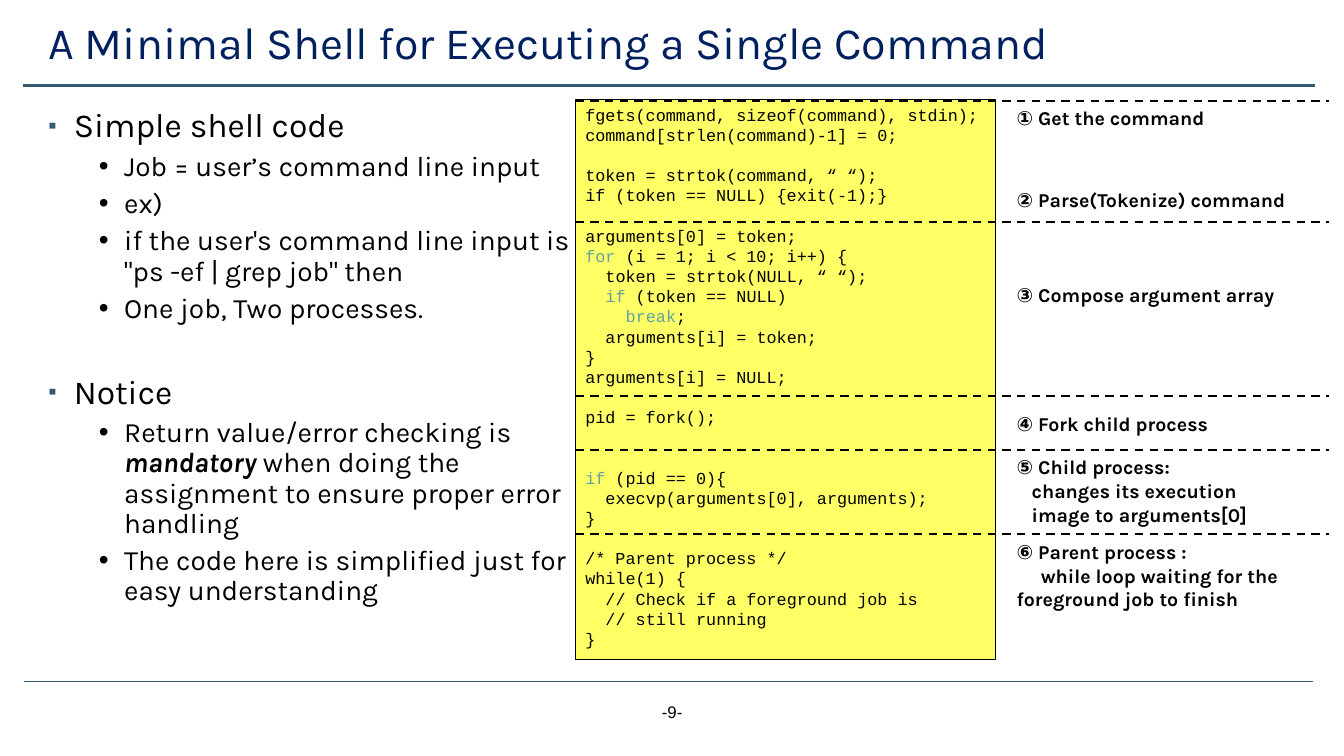
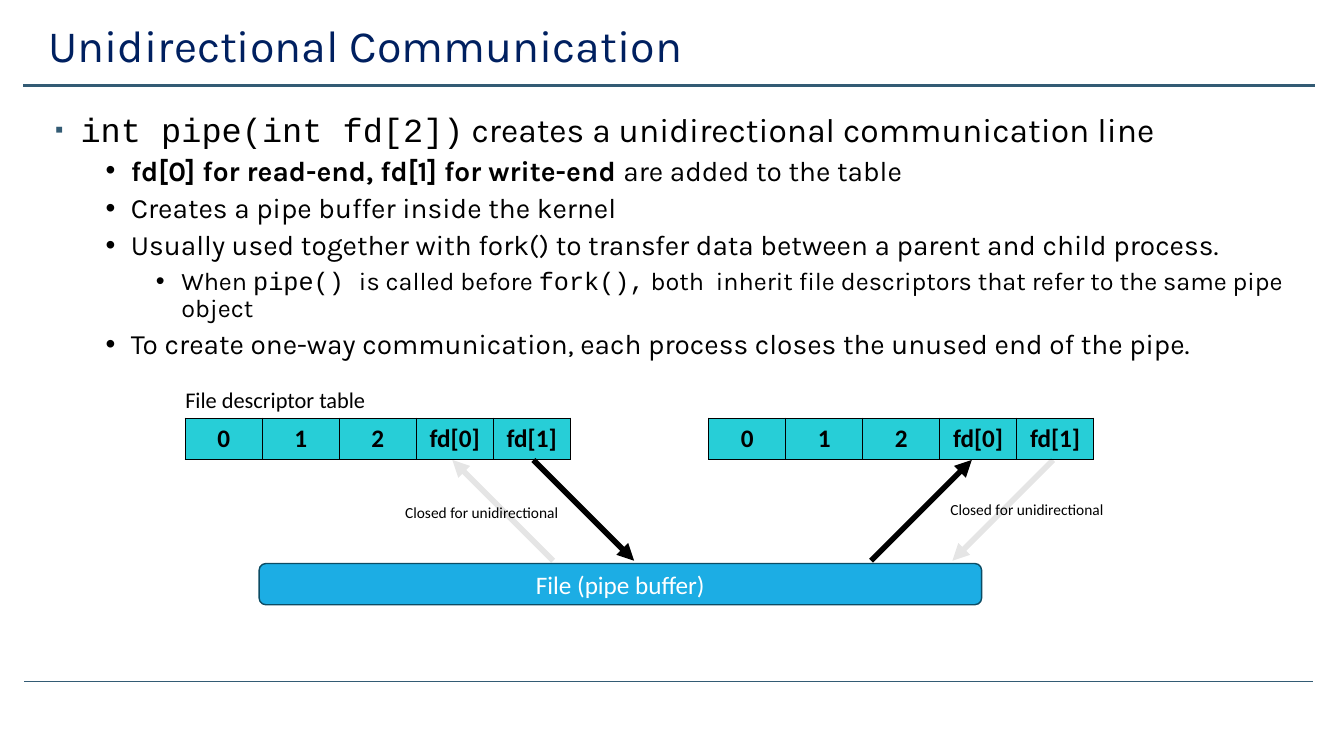
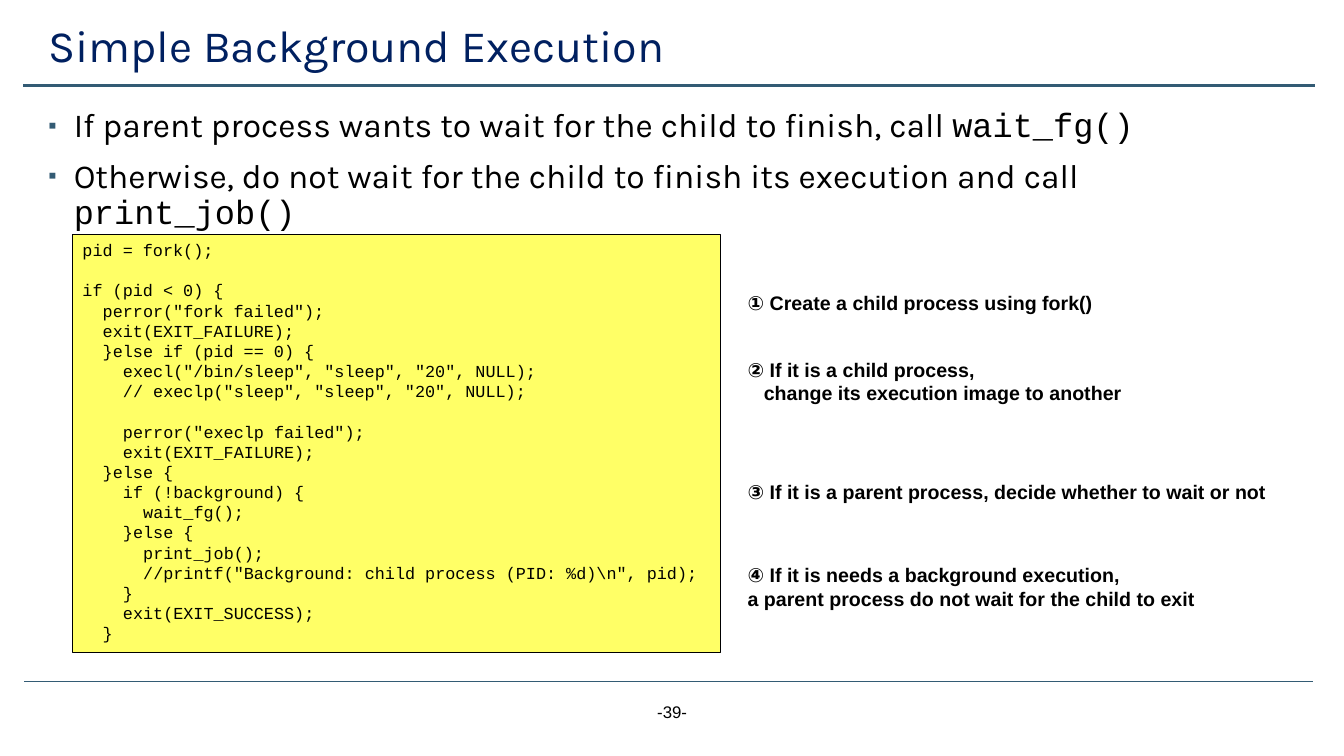
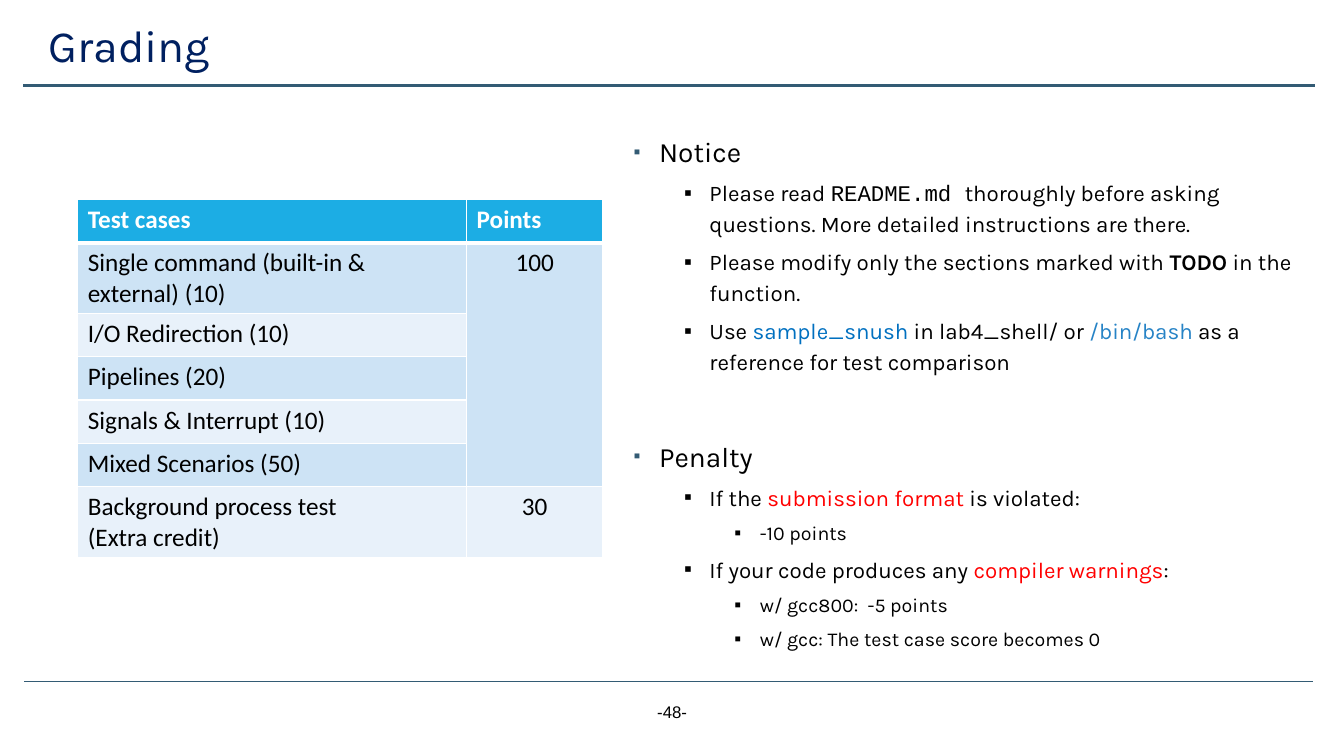
from lxml.etree import SubElement
from pptx import Presentation
from pptx.dml.color import RGBColor
from pptx.enum.dml import MSO_LINE
from pptx.enum.shapes import MSO_CONNECTOR as Link, MSO_SHAPE as Preset
from pptx.enum.text import MSO_ANCHOR as Anchor, PP_ALIGN as Align
from pptx.oxml.ns import qn
from pptx.util import Cm, Pt

COLORS = {
    "black": "000000", "white": "FFFFFF", "title": "002060", "rule": "335B74",
    "code": "FFFF66", "keyword": "62A39F", "descriptor": "27CED7",
    "accent": "1CADE4", "pipe_edge": "0C4C64", "band_dark": "CDE3F5",
    "band_light": "E8F1FA", "sample": "0070C0", "bash": "2683C6", "red": "FF0000",
}
BODY, MONO, SANS, PLAIN = "Karla", "Courier New", "Arial", "Calibri"
BULLET_LEFT = (0.64, 1.91, 3.18)
CODE_PITCH, NOTE_PITCH = Pt(14.4), Pt(16.8)
CODE_STEP = 0.51
MONO_SPAN = {"font": MONO}
KEYWORD = {"color": "keyword"}


def rgb(name):
    return RGBColor.from_string(COLORS[name])


# Text
def add_para(frame, spans, size=18, font=BODY, color="black", bold=False,
             italic=False, align=Align.LEFT, pitch=None, before=0, left=0, first=0):
    """Add a paragraph; each span is a string or (string, format changes)."""
    para = frame.paragraphs[-1]
    if para.runs:
        para = frame.add_paragraph()
    para.alignment = align
    para.space_before = Pt(before)
    if pitch:
        para.line_spacing = pitch
    properties = para._p.get_or_add_pPr()
    properties.set("marL", str(Cm(left)))
    properties.set("indent", str(Cm(first)))
    base = {"size": size, "font": font, "color": color, "bold": bold, "italic": italic}
    for span in [spans] if isinstance(spans, str) else spans:
        words, changes = (span, {}) if isinstance(span, str) else span
        look = {**base, **changes}
        run = para.add_run()
        run.text = words
        run.font.name = look["font"]
        run.font.size = Pt(look["size"])
        run.font.bold = look["bold"]
        run.font.italic = look["italic"]
        run.font.color.rgb = rgb(look["color"])
    return para


def text_box(page, box, wrap=True):
    frame = page.shapes.add_textbox(*map(Cm, box)).text_frame
    frame.word_wrap = wrap
    return frame


def label(page, box, words, wrap=True, **look):
    add_para(text_box(page, box, wrap), words, **look)


def set_bullet(para, mark, level):
    properties = para._p.get_or_add_pPr()
    if level == 0:
        tint = SubElement(properties, qn("a:buClr"))
        SubElement(tint, qn("a:srgbClr"), val=COLORS["rule"])
        SubElement(properties, qn("a:buSzPct"), val="70000")
    SubElement(properties, qn("a:buFont"), typeface=SANS)
    SubElement(properties, qn("a:buChar"), char=mark)


def bullet_list(page, box, items, sizes=(24, 20, 18), marks="▪••", pitch=0.9):
    """Items are (level, spans) or (level, spans, space before)."""
    frame = text_box(page, box)
    for level, spans, *before in items:
        para = add_para(frame, spans, size=sizes[level], pitch=pitch,
                        before=before[0] if before else (10, 5, 5)[level],
                        left=BULLET_LEFT[level], first=-0.64)
        para.level = level
        set_bullet(para, marks[level], level)


def notes_column(page, left, width, notes, font):
    """Notes are (top, lines); a line is a string or (string, first indent)."""
    for top, *lines in notes:
        frame = text_box(page, (left, top, width, 0.87 + 0.59 * (len(lines) - 1)))
        for line in lines:
            words, first = (line, 0) if isinstance(line, str) else line
            add_para(frame, words, size=14, font=font, bold=True,
                     pitch=NOTE_PITCH, first=first)


# Shapes and lines
def add_block(page, preset, box, fill, edge, weight):
    block = page.shapes.add_shape(preset, *map(Cm, box))
    block.shadow.inherit = False
    block.fill.solid()
    block.fill.fore_color.rgb = rgb(fill)
    block.line.color.rgb = rgb(edge)
    block.line.width = Pt(weight)
    block.text_frame.word_wrap = True
    return block


def add_line(page, start, end, color="black", weight=1.5, dashed=False,
             arrow=False, opacity=None):
    line = page.shapes.add_connector(Link.STRAIGHT, *map(Cm, (*start, *end)))
    SubElement(line._element.spPr, qn("a:effectLst"))
    line.line.color.rgb = rgb(color)
    line.line.width = Pt(weight)
    if dashed:
        line.line.dash_style = MSO_LINE.DASH
    outline = line.line._get_or_add_ln()
    if opacity:
        SubElement(outline.find(".//" + qn("a:srgbClr")), qn("a:alpha"),
                   val=str(opacity * 1000))
    if arrow:
        SubElement(outline, qn("a:tailEnd"), type="triangle")


def code_block(page, box, rows):
    """Rows are (depth, spans) or (depth, spans, blank lines before)."""
    block = add_block(page, Preset.RECTANGLE, box, "code", "black", 0.75)
    frame = block.text_frame
    frame.vertical_anchor = Anchor.TOP
    for depth, spans, *blanks in rows:
        add_para(frame, spans, size=12, font=MONO, pitch=CODE_PITCH,
                 before=CODE_PITCH.pt * sum(blanks), left=depth * CODE_STEP)


# Tables
def style_cell(cell, fill, edge, bottom=1):
    cell.fill.solid()
    cell.fill.fore_color.rgb = rgb(fill)
    properties = cell._tc.get_or_add_tcPr()
    for index, side in enumerate("LRTB"):
        weight = bottom if side == "B" else 1
        border = SubElement(properties, qn("a:ln" + side), w=str(Pt(weight)))
        paint = SubElement(border, qn("a:solidFill"))
        SubElement(paint, qn("a:srgbClr"), val=COLORS[edge])
        properties.insert(index, border)


def add_grid(page, left, top, widths, row_height, row_count):
    grid = page.shapes.add_table(row_count, len(widths), Cm(left), Cm(top),
                                 Cm(sum(widths)), Cm(row_height * row_count)).table
    grid.first_row = grid.horz_banding = False
    for column, width in zip(grid.columns, widths):
        column.width = Cm(width)
    return grid


def descriptor_table(page, left, top):
    names = ("0", "1", "2", "fd[0]", "fd[1]")
    grid = add_grid(page, left, top, [1.94] * len(names), 1.03, 1)
    for cell, name in zip(grid.rows[0].cells, names):
        add_para(cell.text_frame, name, font=PLAIN, bold=True, align=Align.CENTER)
        style_cell(cell, "descriptor", "black")


def grading_table(page, left, top):
    rows = (
        (["Test cases"], "Points"),
        (["Single command (built-in & external) (10)"], "100"),
        (["I/O Redirection (10)"], ""),
        (["Pipelines (20)"], ""),
        (["Signals & Interrupt (10)"], ""),
        (["Mixed Scenarios (50)"], ""),
        (["Background process test", "(Extra credit)"], "30"),
    )
    grid = add_grid(page, left, top, (9.8, 3.43), 1.09, len(rows))
    grid.cell(1, 1).merge(grid.cell(5, 1))
    for number, (case, points) in enumerate(rows):
        header = number == 0
        look = {"font": PLAIN, "bold": header, "color": "white" if header else "black"}
        case_cell, points_cell = grid.rows[number].cells
        for line in case:
            add_para(case_cell.text_frame, line, **look)
        if points:
            add_para(points_cell.text_frame, points,
                     align=Align.LEFT if header else Align.CENTER, **look)
        band = "accent" if header else ("band_light", "band_dark")[number % 2]
        merged = 1 <= number <= 5
        style_cell(case_cell, band, "white", 3 if header else 1)
        style_cell(points_cell, "band_dark" if merged else band, "white",
                   3 if header else 1)


# Frame shared by all slides
def add_page(deck, title, number=None, title_top=0.48):
    page = deck.slides.add_slide(deck.slide_layouts[6])
    add_line(page, (0.61, 17.17), (33.1, 17.17), "rule", 0.5)
    add_line(page, (0.58, 2.16), (33.15, 2.16), "rule", 1.75)
    label(page, (0.97, title_top, 31.57, 1.6), title, size=32, color="title", pitch=0.9)
    if number:
        label(page, (13.13, 17.55, 7.62, 1.02), f"-{number}-", size=12, font=SANS,
              align=Align.CENTER)
    return page


def minimal_shell(deck):
    page = add_page(deck, "A Minimal Shell for Executing a Single Command", 9, 0.41)
    bullet_list(page, (0.97, 2.62, 13.77, 14.27), (
        (0, "Simple shell code"),
        (1, "Job = user’s command line input"),
        (1, "ex)"),
        (1, "if the user's command line input is \"ps -ef | grep job\" then"),
        (1, "One job, Two processes."),
        (0, "Notice", 36.4),
        (1, ["Return value/error checking is ",
             ("mandatory", {"bold": True, "italic": True}),
             " when doing the assignment to ensure proper error handling"]),
        (1, "The code here is simplified just for easy understanding"),
    ))
    left, top = 14.5, 2.51
    code_block(page, (left, top, 10.59, 14.1), (
        (0, "fgets(command, sizeof(command), stdin);"),
        (0, "command[strlen(command)-1] = 0;"),
        (0, "token = strtok(command, “ “);", 1),
        (0, "if (token == NULL) {exit(-1);}"),
        (0, "arguments[0] = token;", 1),
        (0, [("for", KEYWORD), " (i = 1; i < 10; i++) {"]),
        (1, "token = strtok(NULL, “ “);"),
        (1, [("if", KEYWORD), " (token == NULL)"]),
        (2, [("break", KEYWORD), ";"]),
        (1, "arguments[i] = token;"),
        (0, "}"),
        (0, "arguments[i] = NULL;"),
        (0, "pid = fork();", 1),
        (0, [("if", KEYWORD), " (pid == 0){"], 2),
        (1, "execvp(arguments[0], arguments);"),
        (0, "}"),
        (0, "/* Parent process */", 1),
        (0, "while(1) {"),
        (1, "// Check if a foreground job is"),
        (1, "// still running"),
        (0, "}"),
    ))
    # Step separators
    for height in (2.54, 5.59, 9.98, 11.33, 13.46):
        add_line(page, (left, height), (33.5, height), dashed=True)
    notes_column(page, 25.37, 7.85, (
        (2.54, "① Get the command"),
        (4.62, "② Parse(Tokenize) command"),
        (7.01, "③ Compose argument array"),
        (10.26, "④ Fork child process"),
        (11.35, "⑤ Child process:", ("changes its execution", 0.38),
         ("image to arguments[0]", 0.38)),
        (13.49, "⑥ Parent process :",
         ("while loop waiting for the foreground job to finish", 0.61)),
    ), BODY)


def pipe_diagram(page, left, top):
    """Two descriptor tables above one pipe buffer."""
    label(page, (left - 0.25, top - 0.94, 5.11, 0.94), "File descriptor table",
          wrap=False, size=16, font=PLAIN)
    for offset in (0, 13.19):
        descriptor_table(page, left + offset, top)
    buffer = add_block(page, Preset.ROUNDED_RECTANGLE,
                       (left + 1.86, top + 3.66, 18.21, 1.04), "accent", "pipe_edge", 1)
    buffer.text_frame.vertical_anchor = Anchor.MIDDLE
    add_para(buffer.text_frame, "File (pipe buffer)", font=PLAIN, color="white",
             align=Align.CENTER)
    # Arrows: table end, pipe end, whether data flows down, opacity
    for upper, lower, down, opacity in (
        (8.77, 11.31, True, None), (21.87, 19.33, True, 10),
        (19.82, 17.28, False, None), (6.73, 9.27, False, 10),
    ):
        ends = [(left + upper, top + 1.05), (left + lower, top + 3.59)]
        start, end = ends if down else reversed(ends)
        add_line(page, start, end, weight=4, arrow=True, opacity=opacity)
    for across, below in ((19.03, 1.93), (5.29, 2.01)):
        label(page, (left + across, top + below, 4.39, 0.74),
              "Closed for unidirectional", wrap=False, size=11, font=PLAIN)


def unidirectional(deck):
    page = add_page(deck, "Unidirectional Communication")
    bullet_list(page, (1.14, 2.74, 31.57, 14.65), (
        (0, [("int pipe(int fd[2])", MONO_SPAN),
             " creates a unidirectional communication line"]),
        (1, [("fd[0] for read-end, fd[1] for write-end ", {"bold": True}),
             "are added to the table"]),
        (1, "Creates a pipe buffer inside the kernel"),
        (1, "Usually used together with fork() to transfer data between "
            "a parent and child process."),
        (2, ["When ", ("pipe() ", MONO_SPAN), "is called before ",
             ("fork(),", MONO_SPAN),
             " both  inherit file descriptors that refer to the same pipe object"]),
        (1, "To create one-way communication, each process closes "
            "the unused end of the pipe."),
    ))
    pipe_diagram(page, 4.67, 10.54)


def background_execution(deck):
    page = add_page(deck, "Simple Background Execution", 39)
    bullet_list(page, (0.97, 2.62, 31.57, 14.27), (
        (0, ["If parent process wants to wait for the child to finish, call ",
             ("wait_fg()", MONO_SPAN)]),
        (0, ["Otherwise, do not wait for the child to finish its execution and call ",
             ("print_job()", MONO_SPAN)]),
    ))
    code_block(page, (1.83, 5.92, 16.33, 10.52), (
        (0, "pid = fork();"),
        (0, "if (pid < 0) {", 1),
        (1, 'perror("fork failed");'),
        (1, "exit(EXIT_FAILURE);"),
        (1, "}else if (pid == 0) {"),
        (2, 'execl("/bin/sleep", "sleep", "20", NULL);'),
        (2, '// execlp("sleep", "sleep", "20", NULL);'),
        (2, 'perror("execlp failed");', 1),
        (2, "exit(EXIT_FAILURE);"),
        (1, "}else {"),
        (2, "if (!background) {"),
        (3, "wait_fg();"),
        (2, "}else {"),
        (3, "print_job();"),
        (3, r'//printf("Background: child process (PID: %d)\n", pid);'),
        (2, "}"),
        (2, "exit(EXIT_SUCCESS);"),
        (1, "}"),
    ))
    notes_column(page, 18.59, 14.2, (
        (7.21, "① Create a child process using fork()"),
        (8.89, "② If it is a child process,",
         ("change its execution image to another", 0.41)),
        (11.96, "③ If it is a parent process, decide whether to wait or not"),
        (14.07, "④ If it is needs a background execution,",
         "a parent process do not wait for the child to exit"),
    ), SANS)


def grading(deck):
    page = add_page(deck, "Grading", 48)
    grading_table(page, 1.96, 5.03)
    bullet_list(page, (15.72, 3.15, 17.4, 13.34), (
        (0, "Notice"),
        (1, ["Please read ", ("README.md ", MONO_SPAN),
             "thoroughly before asking questions. "
             "More detailed instructions are there."]),
        (1, ["Please modify only the sections marked with ",
             ("TODO", {"bold": True}), " in the function."]),
        (1, ["Use ", ("sample_snush ", {"color": "sample"}), "in lab4_shell/ or ",
             ("/bin/bash ", {"color": "bash"}),
             "as a reference for test comparison"]),
        (0, "Penalty", 42.5),
        (1, ["If the ", ("submission format", {"color": "red"}), " is violated:"]),
        (2, "-10 points"),
        (1, ["If your code produces any ",
             ("compiler warnings", {"color": "red"}), ":"]),
        (2, "w/ gcc800:  -5 points"),
        (2, "w/ gcc: The test case score becomes 0"),
    ), sizes=(20, 16, 14), marks="▪▪▪", pitch=1.15)


def main():
    deck = Presentation()
    deck.slide_width, deck.slide_height = Cm(33.87), Cm(19.05)
    for build in (minimal_shell, unidirectional, background_execution, grading):
        build(deck)
    deck.save("out.pptx")


if __name__ == "__main__":
    main()
